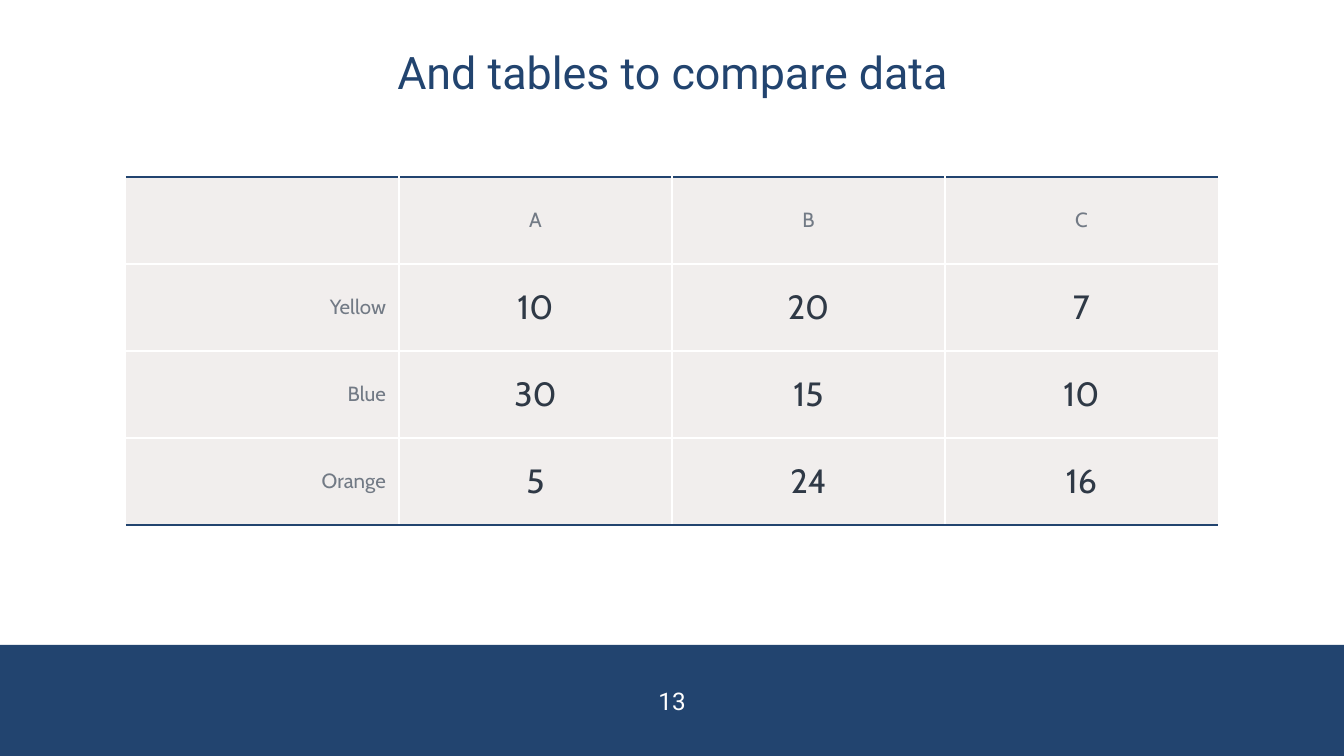
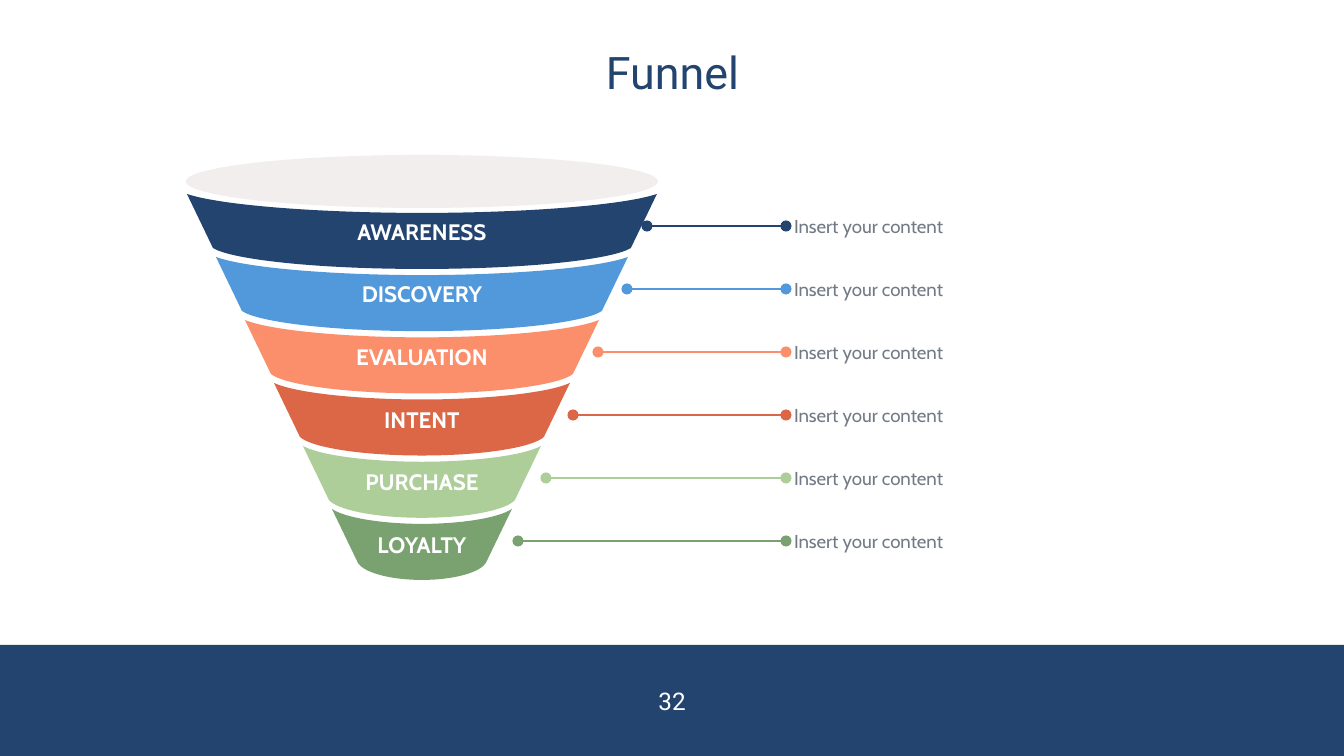
from dataclasses import dataclass
from lxml import etree
from pptx import Presentation
from pptx import util as u
from pptx.dml.color import RGBColor
from pptx.enum import shapes, text
from pptx.oxml.ns import qn

TABLE_SLIDE = {
    "title": "And tables to compare data",
    "number": "13",
    "rows": [
        ["", "A", "B", "C"],
        ["Yellow", "10", "20", "7"],
        ["Blue", "30", "15", "10"],
        ["Orange", "5", "24", "16"],
    ],
}
FUNNEL_SLIDE = {
    "title": "Funnel",
    "number": "32",
    "note": "Insert your content",
    "stages": [
        ("AWARENESS", "22446F", 647),
        ("DISCOVERY", "5299DC", 627),
        ("EVALUATION", "FB8F6C", 598),
        ("INTENT", "DB6746", 573),
        ("PURCHASE", "ADCE99", 546),
        ("LOYALTY", "7AA271", 518),
    ],
}


@dataclass(frozen=True)
class Theme:
    navy: str = "22446F"
    white: str = "FFFFFF"
    pale: str = "F1EEED"
    grey: str = "727A85"
    ink: str = "2F3946"
    heading_font: str = "Roboto"
    body_font: str = "Cabin"
    title_size: int = 24
    number_size: int = 13
    header_size: int = 11
    value_size: int = 18
    stage_size: int = 12
    note_size: int = 10
    rule: float = 0.75
    gap: float = 1.5


THEME = Theme()
PX = 914400 / 134.4
CENTER, LEFT, RIGHT = text.PP_ALIGN.CENTER, text.PP_ALIGN.LEFT, text.PP_ALIGN.RIGHT
TITLE_BOX = (126, 0, 1093, 149)
NUMBER_BOX = (577, 663, 190, 75)
BAND_BOX = (0, 645, 1344, 111)
FUNNEL_CENTER = 422
STAGE_PITCH = 63
TOP_CURVE = ((1, 0), (0.85, 0.62), (0.42, 1), (0, 1))
BOTTOM_CURVE = ((1, 0), (0.92, 0.52), (0.53, 1), (0, 1))


def px(value):
    return u.Emu(round(value * PX))


def box(values):
    return [px(value) for value in values]


def write(frame, words, size, color, font=THEME.body_font, align=LEFT, bold=False):
    paragraph = frame.paragraphs[0]
    paragraph.alignment = align
    run = paragraph.add_run()
    run.text = words
    run.font.name = font
    run.font.size = u.Pt(size)
    run.font.bold = bold
    run.font.color.rgb = RGBColor.from_string(color)
    return paragraph


def set_frame(frame, margin_x=0, margin_y=0):
    frame.word_wrap = True
    frame.auto_size = text.MSO_AUTO_SIZE.NONE
    frame.vertical_anchor = text.MSO_ANCHOR.MIDDLE
    frame.margin_left = frame.margin_right = px(margin_x)
    frame.margin_top = frame.margin_bottom = px(margin_y)


def add_label(slide, place, *args, **style):
    label = slide.shapes.add_textbox(*box(place))
    set_frame(label.text_frame)
    write(label.text_frame, *args, **style)


def paint(shape, color):
    shape.shadow.inherit = False
    shape.fill.solid()
    shape.fill.fore_color.rgb = RGBColor.from_string(color)
    shape.line.fill.background()


def add_slide(presentation, layout, content):
    slide = presentation.slides.add_slide(layout)
    title = slide.shapes.title
    title.left, title.top, title.width, title.height = box(TITLE_BOX)
    set_frame(title.text_frame)
    paragraph = write(title.text_frame, content["title"], THEME.title_size, THEME.navy,
                      THEME.heading_font, CENTER)
    paragraph.line_spacing = 0.9
    add_label(slide, NUMBER_BOX, content["number"], THEME.number_size, THEME.white,
              font=THEME.heading_font, align=CENTER)
    return slide


def move_band_to_layout(slide, layout):
    band = slide.shapes.add_shape(shapes.MSO_SHAPE.RECTANGLE, *box(BAND_BOX))
    paint(band, THEME.navy)
    layout.shapes.element.insert(2, band.element)


def set_borders(cell, borders):
    properties = cell._tc.get_or_add_tcPr()
    for index, (side, border) in enumerate(zip("LRTB", borders)):
        line = etree.Element(qn(f"a:ln{side}"))
        properties.insert(index, line)
        if border is None:
            etree.SubElement(line, qn("a:noFill"))
            continue
        color, width = border
        line.set("w", str(u.Pt(width)))
        fill = etree.SubElement(line, qn("a:solidFill"))
        etree.SubElement(fill, qn("a:srgbClr"), val=color)


def add_comparison_table(slide, rows):
    row_count, column_count = len(rows), len(rows[0])
    table = slide.shapes.add_table(
        row_count, column_count, *box((126, 177, 273 * column_count, 87 * row_count))).table
    table.first_row = table.horz_banding = False
    gap, rule = (THEME.white, THEME.gap), (THEME.navy, THEME.rule)
    for r, row in enumerate(rows):
        for c, words in enumerate(row):
            cell = table.cell(r, c)
            cell.fill.solid()
            cell.fill.fore_color.rgb = RGBColor.from_string(THEME.pale)
            cell.vertical_anchor = text.MSO_ANCHOR.MIDDLE
            cell.margin_left = cell.margin_right = px(13)
            cell.margin_top = cell.margin_bottom = px(9)
            set_borders(cell, (
                gap if c else None,
                gap if c < column_count - 1 else None,
                gap if r else rule,
                gap if r < row_count - 1 else rule,
            ))
            if words:
                heading = r == 0 or c == 0
                write(cell.text_frame, words,
                      THEME.header_size if heading else THEME.value_size,
                      THEME.grey if heading else THEME.ink,
                      align=CENTER if c else RIGHT)


def arc(half_width, top, depth, controls):
    right = [(x * half_width, top + y * depth) for x, y in controls]
    left = [(-x, y) for x, y in reversed(right[:-1])]
    return [(px(FUNNEL_CENTER + x), px(y)) for x, y in right + left]


def bend(segments):
    curve = etree.Element(qn("a:cubicBezTo"))
    segments[0].addprevious(curve)
    for segment in segments:
        curve.append(segment[0])
        segment.getparent().remove(segment)


def add_stage(slide, index, name, color):
    top = 194 + STAGE_PITCH * index
    upper = arc(235 - 29 * index, top, 19 - 0.8 * index, TOP_CURVE)
    lower = arc(209 - 29 * index, top + 54, 21 - 0.8 * index, BOTTOM_CURVE)
    points = upper + lower[::-1]
    builder = slide.shapes.build_freeform(*points[0])
    builder.add_line_segments(points[1:], close=True)
    stage = builder.convert_to_shape()
    segments = list(stage.element.iter(qn("a:lnTo")))
    for first in (0, 3, 7, 10):
        bend(segments[first:first + 3])
    paint(stage, color)
    set_frame(stage.text_frame, 9, 5)
    write(stage.text_frame, name, THEME.stage_size, THEME.white, align=CENTER, bold=True)


def add_leader(slide, start, end, y, color):
    leader = slide.shapes.add_connector(
        shapes.MSO_CONNECTOR.STRAIGHT, *box((start, y, end, y)))
    leader.line.color.rgb = RGBColor.from_string(color)
    leader.line.width = u.Pt(THEME.rule)
    line = leader.line._get_or_add_ln()
    for end_name in ("a:headEnd", "a:tailEnd"):
        etree.SubElement(line, qn(end_name), type="oval", w="med", len="med")
    etree.SubElement(leader.element.spPr, qn("a:effectLst"))


def add_funnel(slide, stages, note):
    for index, (name, color, _) in enumerate(stages):
        add_stage(slide, index, name, color)
    mouth = slide.shapes.add_shape(shapes.MSO_SHAPE.OVAL, *box((186, 155, 472, 53)))
    paint(mouth, THEME.pale)
    for index, (_, color, leader_start) in enumerate(stages):
        y = 226 + STAGE_PITCH * index
        add_leader(slide, leader_start, 786, y, color)
        add_label(slide, (794, y - 23, 364, 46), note, THEME.note_size, THEME.grey)


def main():
    presentation = Presentation()
    presentation.slide_width, presentation.slide_height = px(1344), px(756)
    layout = presentation.slide_layouts.get_by_name("Title Only")
    table_slide = add_slide(presentation, layout, TABLE_SLIDE)
    move_band_to_layout(table_slide, layout)
    add_comparison_table(table_slide, TABLE_SLIDE["rows"])
    funnel_slide = add_slide(presentation, layout, FUNNEL_SLIDE)
    add_funnel(funnel_slide, FUNNEL_SLIDE["stages"], FUNNEL_SLIDE["note"])
    presentation.save("out.pptx")


if __name__ == "__main__":
    main()
